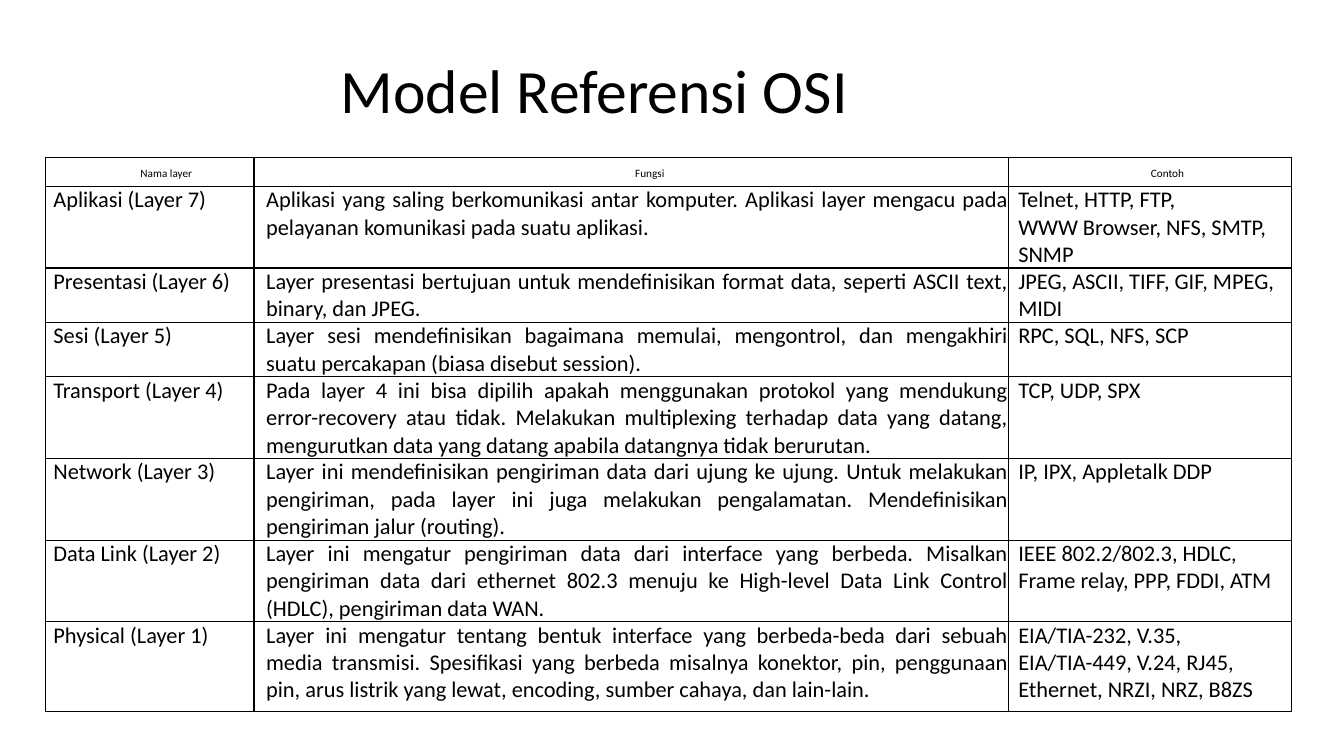
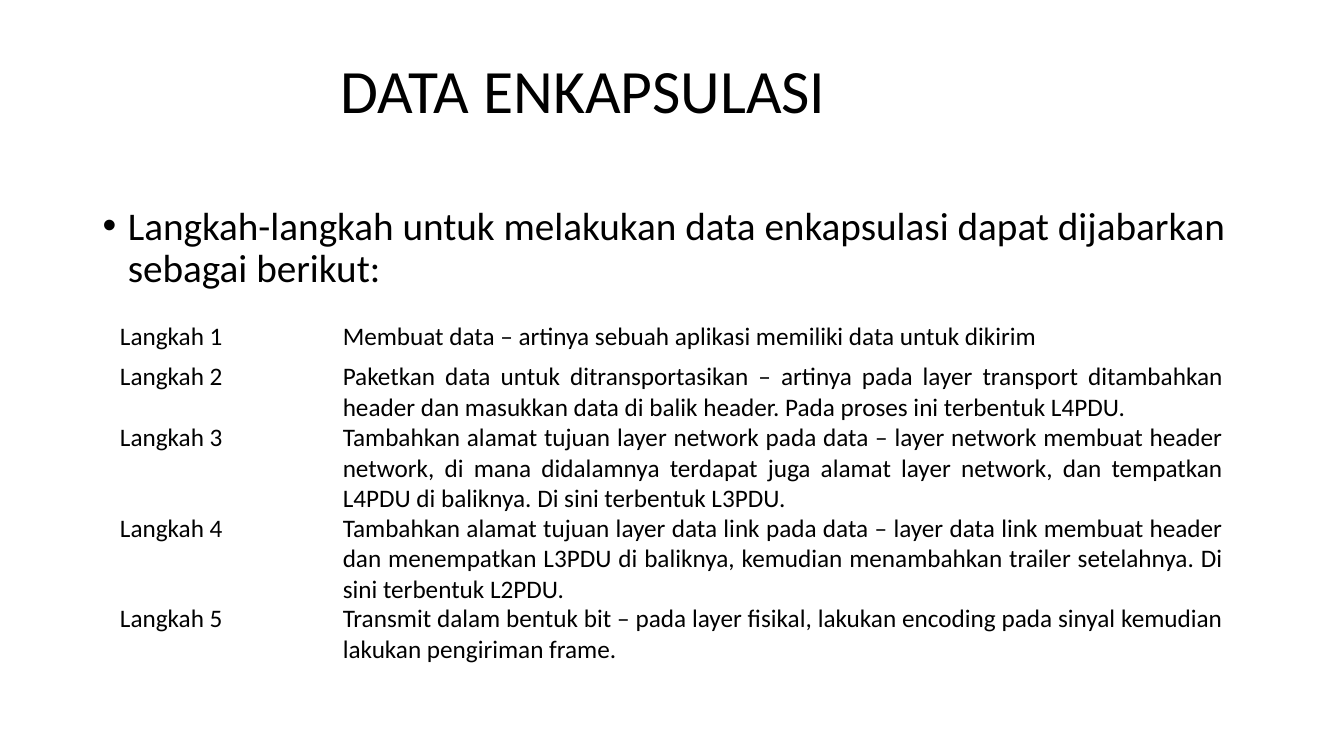
from lxml import etree
from pptx import Presentation
from pptx.dml.color import RGBColor
from pptx.enum.text import MSO_ANCHOR, PP_ALIGN
from pptx.oxml.ns import qn
from pptx.util import Inches, Pt

LEFT, CENTER, JUSTIFY = PP_ALIGN.LEFT, PP_ALIGN.CENTER, PP_ALIGN.JUSTIFY
TOP, MIDDLE = MSO_ANCHOR.TOP, MSO_ANCHOR.MIDDLE
FONT, BLACK = "Calibri", "000000"

# Content: a tuple in a cell holds one paragraph per item
OSI_TITLE = "Model Referensi OSI"
OSI_HEADER = ("Nama layer", "Fungsi", "Contoh")
OSI_LAYERS = [
    ("Aplikasi (Layer 7)",
     "Aplikasi yang saling berkomunikasi antar komputer. Aplikasi layer mengacu pada "
     "pelayanan komunikasi pada suatu aplikasi.",
     ("Telnet, HTTP, FTP,", "WWW Browser, NFS, SMTP, SNMP")),
    ("Presentasi (Layer 6)",
     "Layer presentasi bertujuan untuk mendefinisikan format data, seperti ASCII text, "
     "binary, dan JPEG.",
     "JPEG, ASCII, TIFF, GIF, MPEG, MIDI"),
    ("Sesi (Layer 5)",
     "Layer sesi mendefinisikan bagaimana memulai, mengontrol, dan mengakhiri suatu "
     "percakapan (biasa disebut session).",
     "RPC, SQL, NFS, SCP"),
    ("Transport (Layer 4)",
     "Pada layer 4 ini bisa dipilih apakah menggunakan protokol yang mendukung "
     "error-recovery atau tidak. Melakukan multiplexing terhadap data yang datang, "
     "mengurutkan data yang datang apabila datangnya tidak berurutan.",
     "TCP, UDP, SPX"),
    ("Network (Layer 3)",
     "Layer ini mendefinisikan pengiriman data dari ujung ke ujung. Untuk melakukan "
     "pengiriman, pada layer ini juga melakukan pengalamatan. Mendefinisikan "
     "pengiriman jalur (routing).",
     "IP, IPX, Appletalk DDP"),
    ("Data Link (Layer 2)",
     "Layer ini mengatur pengiriman data dari interface yang berbeda. Misalkan "
     "pengiriman data dari ethernet 802.3 menuju ke High-level Data Link Control "
     "(HDLC), pengiriman data WAN.",
     ("IEEE 802.2/802.3, HDLC,", "Frame relay, PPP, FDDI, ATM")),
    ("Physical (Layer 1)",
     "Layer ini mengatur tentang bentuk interface yang berbeda-beda dari sebuah media "
     "transmisi. Spesifikasi yang berbeda misalnya konektor, pin, penggunaan pin, arus "
     "listrik yang lewat, encoding, sumber cahaya, dan lain-lain.",
     ("EIA/TIA-232, V.35,", "EIA/TIA-449, V.24, RJ45, Ethernet, NRZI, NRZ, B8ZS")),
]
OSI_COLUMNS = (2.07, 7.48, 2.81)
OSI_ROWS = (0.29, 0.81, 0.54, 0.54, 0.81, 0.81, 0.81, 0.89)
OSI_INDENTS = (0.08, 0.12, 0.1)
OSI_ALIGNS = (LEFT, JUSTIFY, LEFT)

STEPS_TITLE = "DATA ENKAPSULASI"
STEPS_INTRO = ("Langkah-langkah untuk melakukan data enkapsulasi dapat dijabarkan "
               "sebagai berikut:")
STEPS = [
    "Membuat data – artinya sebuah aplikasi memiliki data untuk dikirim",
    "Paketkan data untuk ditransportasikan – artinya pada layer transport ditambahkan "
    "header dan masukkan data di balik header. Pada proses ini terbentuk L4PDU.",
    "Tambahkan alamat tujuan layer network pada data – layer network membuat header "
    "network, di mana didalamnya terdapat juga alamat layer network, dan tempatkan "
    "L4PDU di baliknya. Di sini terbentuk L3PDU.",
    "Tambahkan alamat tujuan layer data link pada data – layer data link membuat header "
    "dan menempatkan L3PDU di baliknya, kemudian menambahkan trailer setelahnya. Di "
    "sini terbentuk L2PDU.",
    "Transmit dalam bentuk bit – pada layer fisikal, lakukan encoding pada sinyal "
    "kemudian lakukan pengiriman frame.",
]
STEPS_COLUMNS = (2.21, 8.87)
STEPS_ROWS = (0.4, 0.6, 0.9, 0.9, 0.9)


def color(value):
    return RGBColor.from_string(value)


def write(frame, lines, size, align=LEFT, indent=(0, 0), spacing=None, bullet=None):
    for i, line in enumerate(lines):
        paragraph = frame.paragraphs[0] if i == 0 else frame.add_paragraph()
        props = paragraph._p.get_or_add_pPr()
        props.set("marL", str(Inches(indent[0])))
        props.set("indent", str(Inches(indent[1])))
        if bullet:
            etree.SubElement(props, qn("a:buFont"), typeface="Arial")
            etree.SubElement(props, qn("a:buChar"), char=bullet)
        paragraph.alignment = align
        if spacing:
            paragraph.line_spacing = spacing
        run = paragraph.add_run()
        run.text = line
        run.font.size = Pt(size)
        run.font.name = FONT
        run.font.color.rgb = color(BLACK)


def add_text(slide, box, text, size, anchor=TOP, **style):
    frame = slide.shapes.add_textbox(*map(Inches, box)).text_frame
    frame.word_wrap = True
    frame.vertical_anchor = anchor
    write(frame, [text], size, spacing=0.9, **style)


def add_titled_slide(prs, title):
    slide = prs.slides.add_slide(prs.slide_layouts[6])
    add_text(slide, (3.28, 0.4, 9.14, 1.05), title, 44, MIDDLE)
    return slide


def add_grid(slide, left, top, columns, rows):
    box = map(Inches, (left, top, sum(columns), sum(rows)))
    grid = slide.shapes.add_table(len(rows), len(columns), *box).table
    grid.first_row = grid.horz_banding = False
    for column, width in zip(grid.columns, columns):
        column.width = Inches(width)
    for row, height in zip(grid.rows, rows):
        row.height = Inches(height)
    return grid


def fill_cell(cell, content, size, side=0, border=None, anchor=TOP, **style):
    cell.margin_left = cell.margin_right = Inches(side)
    cell.margin_top = cell.margin_bottom = 0
    cell.vertical_anchor = anchor
    props = cell._tc.get_or_add_tcPr()
    for edge in ("a:lnL", "a:lnR", "a:lnT", "a:lnB"):
        line = etree.SubElement(props, qn(edge), w=str(Pt(1)))
        if border:
            solid = etree.SubElement(line, qn("a:solidFill"))
            etree.SubElement(solid, qn("a:srgbClr"), val=border)
        else:
            etree.SubElement(line, qn("a:noFill"))
    cell.fill.background()
    lines = [content] if isinstance(content, str) else content
    write(cell.text_frame, lines, size, **style)


def build_osi(prs):
    slide = add_titled_slide(prs, OSI_TITLE)
    grid = add_grid(slide, 0.45, 1.56, OSI_COLUMNS, OSI_ROWS)
    for c, (indent, align) in enumerate(zip(OSI_INDENTS, OSI_ALIGNS)):
        fill_cell(grid.cell(0, c), OSI_HEADER[c], 8, border=BLACK, anchor=MIDDLE,
                  align=CENTER, indent=(indent, 0.25), spacing=Pt(13))
        for r, layer in enumerate(OSI_LAYERS, 1):
            fill_cell(grid.cell(r, c), layer[c], 16, border=BLACK,
                      align=align, indent=(indent, 0))


def build_steps(prs):
    slide = add_titled_slide(prs, STEPS_TITLE)
    add_text(slide, (0.92, 2, 11.5, 1.1), STEPS_INTRO, 28,
             indent=(0.25, -0.25), bullet="•")
    grid = add_grid(slide, 1.12, 3.19, STEPS_COLUMNS, STEPS_ROWS)
    for r, step in enumerate(STEPS):
        for c, content in enumerate((f"Langkah {r + 1}", step)):
            fill_cell(grid.cell(r, c), content, 18, side=0.07, align=JUSTIFY)


def main():
    prs = Presentation()
    prs.slide_width, prs.slide_height = Inches(13.33), Inches(7.5)
    build_osi(prs)
    build_steps(prs)
    prs.save("out.pptx")


if __name__ == "__main__":
    main()
